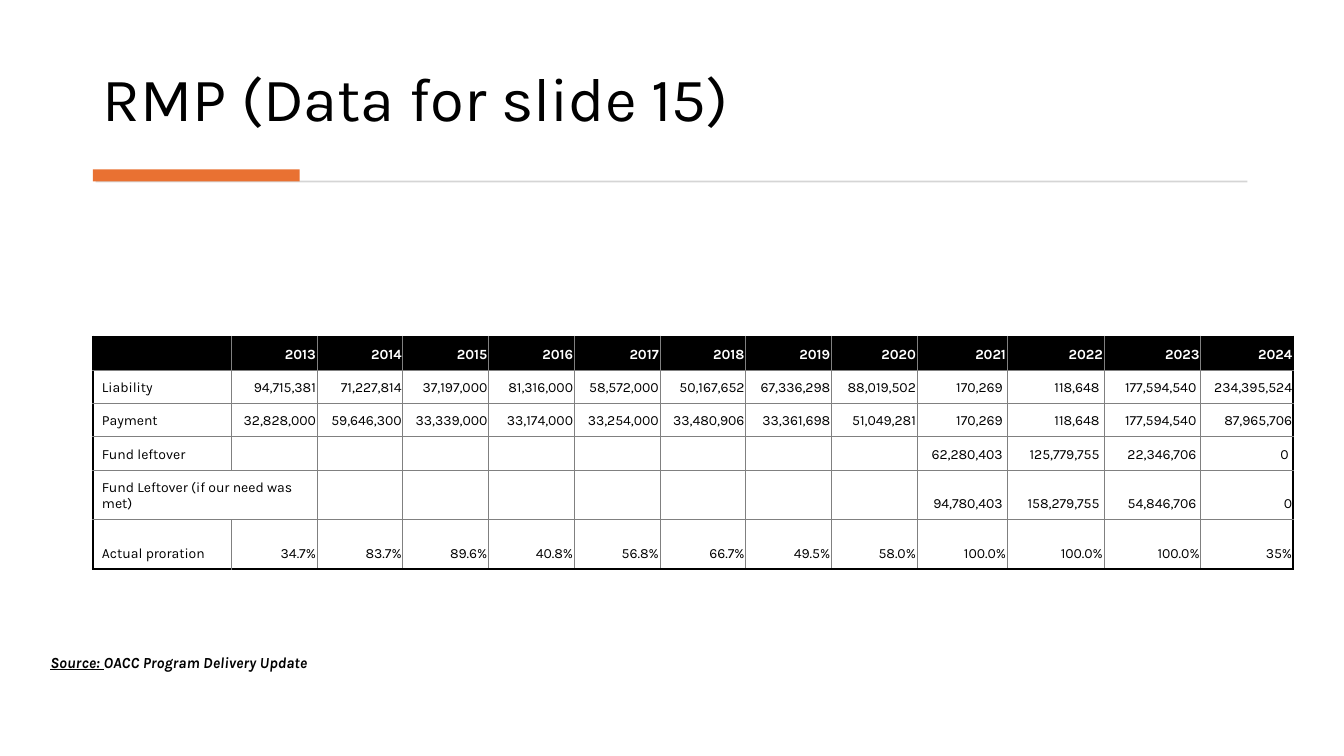
import pptx
import pptx.util
import pptx.dml.color
import pptx.enum.shapes
import pptx.enum.text
import pptx.oxml

Cm = pptx.util.Cm
ALIGN = pptx.enum.text.PP_ALIGN
ANCHOR = pptx.enum.text.MSO_ANCHOR


def paint(target, color):
    """Give a fill or a font a solid colour."""
    if hasattr(target, "solid"):
        target.solid()
        target.fore_color.rgb = pptx.dml.color.RGBColor.from_string(color)
    else:
        target.color.rgb = pptx.dml.color.RGBColor.from_string(color)


def write(frame, text, size=10, color="000000", align=ALIGN.LEFT,
          bold=False, italic=False, under=False):
    """Add a formatted run to the first paragraph of a text frame."""
    line = frame.paragraphs[0]
    line.alignment = align
    run = line.add_run()
    run.text = text
    font = run.font
    font.name, font.size = "Karla", pptx.util.Pt(size)
    font.bold, font.italic, font.underline = bold, italic, under
    paint(font, color)


deck = pptx.Presentation()
deck.slide_width, deck.slide_height = Cm(33.87), Cm(19.05)
slide = deck.slides.add_slide(deck.slide_layouts[5])

# Title
title = slide.shapes.title
title.left, title.top, title.width, title.height = Cm(2.34), Cm(0.71), Cm(29.18), Cm(2.82)
frame = title.text_frame
frame.auto_size = pptx.enum.text.MSO_AUTO_SIZE.NONE
frame.vertical_anchor = ANCHOR.BOTTOM
frame.paragraphs[0].line_spacing = 0.9
write(frame, "RMP (Data for slide 15)", size=44)

# Grey rule and orange accent under the title
for left, top, width, height, color in [
    (2.41, 4.55, 29.03, 0.05, "D5D5D5"),
    (2.34, 4.27, 5.21, 0.3, "E97132"),
]:
    bar = slide.shapes.add_shape(pptx.enum.shapes.MSO_SHAPE.RECTANGLE,
                                 Cm(left), Cm(top), Cm(width), Cm(height))
    bar.shadow.inherit = False
    bar.line.fill.background()
    paint(bar.fill, color)

# Table data
blank = [""] * 8
data = [
    [""] + [str(year) for year in range(2013, 2025)],
    ["Liability", "94,715,381", "71,227,814", "37,197,000", "81,316,000",
     "58,572,000", "50,167,652", "67,336,298", "88,019,502",
     "170,269 ", "118,648 ", "177,594,540 ", "234,395,524"],
    ["Payment", "32,828,000", "59,646,300", "33,339,000", "33,174,000",
     "33,254,000", "33,480,906", "33,361,698", "51,049,281",
     "170,269 ", "118,648 ", "177,594,540 ", "87,965,706"],
    ["Fund leftover", *blank, "62,280,403 ", "125,779,755 ", "22,346,706 ", "0 "],
    ["Fund Leftover (if our need was met)", *blank,
     "94,780,403 ", "158,279,755 ", "54,846,706 ", "0"],
    ["Actual proration", "34.7%", "83.7%", "89.6%", "40.8%", "56.8%", "66.7%",
     "49.5%", "58.0%", "100.0%", "100.0%", "100.0%", "35%"],
]
wides = [3.49] + [2.16] * 8 + [2.27, 2.44, 2.44, 2.33]
talls = [0.84] * 4 + [1.25] * 2
last_row, last_col = len(talls) - 1, len(wides) - 1

# Table grid
table = slide.shapes.add_table(len(talls), len(wides), Cm(2.34), Cm(8.48),
                               Cm(sum(wides)), Cm(sum(talls))).table
table.first_row = table.horz_banding = False
for col, wide in zip(table.columns, wides):
    col.width = Cm(wide)
for row, tall in zip(table.rows, talls):
    row.height = Cm(tall)
table.cell(4, 0).merge(table.cell(4, 1))

# Table cells
for r, texts in enumerate(data):
    for c, text in enumerate(texts):
        cell = table.cell(r, c)
        head = r == 0
        cell.vertical_anchor = ANCHOR.BOTTOM
        cell.margin_left, cell.margin_right = Cm(0.23), Cm(0.03)
        cell.margin_top = cell.margin_bottom = Cm(0.18 if text else 0)
        if text:
            write(cell.text_frame, text, bold=head,
                  color="FFFFFF" if head else "000000",
                  align=ALIGN.RIGHT if c else ALIGN.LEFT)
        if head:
            paint(cell.fill, "000000")
        else:
            cell.fill.background()

        # Thick black outer edge, thin grey inner lines
        props = cell._tc.get_or_add_tcPr()
        edges = [("L", c == 0), ("R", c == last_col), ("T", head), ("B", r == last_row)]
        for spot, (side, outer) in enumerate(edges):
            width, color = (19050, "000000") if outer else (6350, "808080")
            props.insert(spot, pptx.oxml.parse_xml(
                f'<a:ln{side} xmlns:a="http://schemas.openxmlformats.org/drawingml/2006/main"'
                f' w="{width}"><a:solidFill><a:srgbClr val="{color}"/></a:solidFill></a:ln{side}>'))

# Source line
note = slide.shapes.add_textbox(Cm(1.02), Cm(16.33), Cm(14.91), Cm(0.74)).text_frame
note.word_wrap = True
write(note, "Source: ", size=11, bold=True, italic=True, under=True)
write(note, "OACC Program Delivery Update", size=11, bold=True, italic=True)

deck.save("out.pptx")
